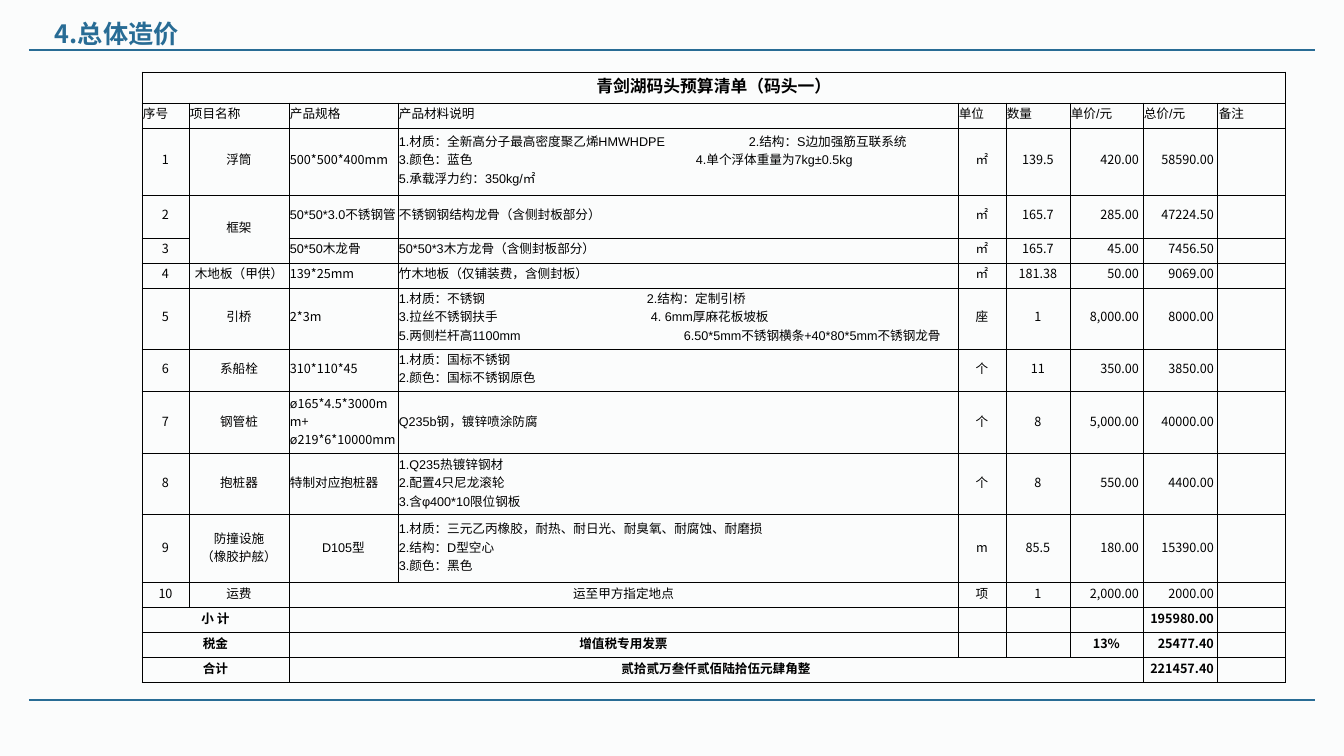
from dataclasses import dataclass

from lxml import etree
from pptx import Presentation
from pptx.dml.color import RGBColor
from pptx.enum.shapes import MSO_CONNECTOR
from pptx.enum.text import MSO_ANCHOR, PP_ALIGN
from pptx.oxml.ns import qn
from pptx.util import Pt

STRAIGHT = MSO_CONNECTOR.STRAIGHT
MIDDLE = MSO_ANCHOR.MIDDLE
LEFT, CENTER, RIGHT = PP_ALIGN.LEFT, PP_ALIGN.CENTER, PP_ALIGN.RIGHT
PX = 914400 / 100.8


@dataclass(frozen=True)
class Theme:
    background: str = "FBFCFC"
    accent: str = "286C95"
    ink: str = "000000"
    text_font: str = "Arial"
    number_font: str = "Noto Sans CJK SC"
    title_size: int = 18
    caption_size: int = 12
    body_size: int = 9
    rule_width: float = 1.75
    border_width: float = 0.5


def px(length):
    return round(length * PX)


def has_chinese(text):
    return any(ord(char) >= 0x2E80 for char in text)


class Page:
    def __init__(self, presentation, theme):
        self.theme = theme
        self.slide = presentation.slides.add_slide(presentation.slide_layouts[6])
        fill = self.slide.background.fill
        fill.solid()
        fill.fore_color.rgb = RGBColor.from_string(theme.background)

    def style(self, paragraph, size, color, face, bold):
        font = paragraph.font
        font.size, font.bold, font.name = Pt(size), bold, face
        font.color.rgb = RGBColor.from_string(color)
        east_asian = etree.SubElement(font._rPr, qn("a:ea"))
        east_asian.set("typeface", self.theme.number_font)

    def rule(self, left, right, y):
        line = self.slide.shapes.add_connector(STRAIGHT, px(left), px(y), px(right), px(y))
        line.line.color.rgb = RGBColor.from_string(self.theme.accent)
        line.line.width = Pt(self.theme.rule_width)
        etree.SubElement(line._element.spPr, qn("a:effectLst"))

    def title(self, text, left, top, width, height):
        box = self.slide.shapes.add_textbox(px(left), px(top), px(width), px(height))
        frame = box.text_frame
        frame.word_wrap = True
        frame.vertical_anchor = MIDDLE
        paragraph = frame.paragraphs[0]
        paragraph.text = text
        paragraph.line_spacing = 0.9
        self.style(paragraph, self.theme.title_size, self.theme.accent, self.theme.number_font, True)

    def border(self, cell):
        properties = cell._tc.get_or_add_tcPr()
        for side in ("a:lnL", "a:lnR", "a:lnT", "a:lnB"):
            line = etree.SubElement(properties, qn(side), w=str(Pt(self.theme.border_width)))
            fill = etree.SubElement(line, qn("a:solidFill"))
            etree.SubElement(fill, qn("a:srgbClr"), val=self.theme.ink)
        cell.fill.background()

    def cell(self, cell, content, align, size, bold):
        cell.margin_left = cell.margin_top = px(1)
        cell.margin_right = px(4 if align == RIGHT else 1)
        cell.margin_bottom = px(5)
        cell.vertical_anchor = MIDDLE
        self.border(cell)
        lines = content if isinstance(content, list) else [content]
        for index, line in enumerate(lines):
            frame = cell.text_frame
            paragraph = frame.add_paragraph() if index else frame.paragraphs[0]
            paragraph.alignment = align
            if isinstance(line, tuple):
                first, second, stop = line
                line = f"{first}\t{second}"
                tabs = etree.SubElement(paragraph._p.get_or_add_pPr(), qn("a:tabLst"))
                etree.SubElement(tabs, qn("a:tab"), pos=str(px(stop)), algn="l")
            if line:
                paragraph.text = line
            else:
                paragraph._p.get_or_add_endParaRPr().set("sz", str(size * 100))
            face = self.theme.text_font if has_chinese(line) else self.theme.number_font
            self.style(paragraph, size, self.theme.ink, face, bold)

    def table(self, left, top, widths, heights, rows, spans, alignment, bold_rows):
        frame = self.slide.shapes.add_table(
            len(heights), len(widths), px(left), px(top), px(sum(widths)), px(sum(heights)))
        table = frame.table
        table.first_row = table.horz_banding = False
        for column, width in zip(table.columns, widths):
            column.width = px(width)
        for row, height in zip(table.rows, heights):
            row.height = px(height)
        for r, row in enumerate(rows):
            size = self.theme.body_size if r else self.theme.caption_size
            for c in range(len(widths)):
                content = row[c] if c < len(row) else ""
                self.cell(table.cell(r, c), content, alignment(r, c), size, r in bold_rows)
        for first_row, first_column, last_row, last_column in spans:
            table.cell(first_row, first_column).merge(table.cell(last_row, last_column))


COLUMN_WIDTHS = [47, 100, 109, 560, 48, 64, 73, 75, 68]
ROW_HEIGHTS = [31, 25, 67, 43, 25, 25, 61, 43, 62, 61, 68, 25, 25, 25, 25]
COLUMN_ALIGNMENT = [CENTER, CENTER, LEFT, LEFT, CENTER, CENTER, RIGHT, RIGHT, LEFT]
CENTERED_CELLS = {(10, 2), (11, 2), (13, 2), (13, 6), (14, 2)}
SPANS = [(0, 0, 0, 8), (3, 1, 4, 1), (11, 2, 11, 3), (12, 0, 12, 1), (12, 2, 12, 3),
         (13, 0, 13, 1), (13, 2, 13, 3), (14, 0, 14, 1), (14, 2, 14, 6)]
BUDGET = [
    ["青剑湖码头预算清单（码头一）"],
    ["序号", "项目名称", "产品规格", "产品材料说明", "单位", "数量", "单价/元", "总价/元", "备注"],
    ["1", "浮筒", "500*500*400mm",
     [("1.材质：全新高分子最高密度聚乙烯HMWHDPE", "2.结构：S边加强筋互联系统", 350),
      ("3.颜色：蓝色", "4.单个浮体重量为7kg±0.5kg", 297),
      "5.承载浮力约：350kg/㎡"],
     "㎡", "139.5", "420.00", "58590.00"],
    ["2", "框架", "50*50*3.0不锈钢管", "不锈钢钢结构龙骨（含侧封板部分）",
     "㎡", "165.7", "285.00", "47224.50"],
    ["3", "", "50*50木龙骨", "50*50*3木方龙骨（含侧封板部分）",
     "㎡", "165.7", "45.00", "7456.50"],
    ["4", "木地板（甲供）", "139*25mm", "竹木地板（仅铺装费，含侧封板）",
     "㎡", "181.38", "50.00", "9069.00"],
    ["5", "引桥", "2*3m",
     [("1.材质：不锈钢", "2.结构：定制引桥", 248),
      ("3.拉丝不锈钢扶手", "4. 6mm厚麻花板坡板", 252),
      ("5.两侧栏杆高1100mm", "6.50*5mm不锈钢横条+40*80*5mm不锈钢龙骨", 285)],
     "座", "1", "8,000.00", "8000.00"],
    ["6", "系船栓", "310*110*45", ["1.材质：国标不锈钢", "2.颜色：国标不锈钢原色"],
     "个", "11", "350.00", "3850.00"],
    ["7", "钢管桩", ["ø165*4.5*3000mm+", "ø219*6*10000mm"], "Q235b钢，镀锌喷涂防腐",
     "个", "8", "5,000.00", "40000.00"],
    ["8", "抱桩器", "特制对应抱桩器",
     ["1.Q235热镀锌钢材", "2.配置4只尼龙滚轮", "3.含φ400*10限位钢板"],
     "个", "8", "550.00", "4400.00"],
    ["9", ["防撞设施", "（橡胶护舷）"], "D105型",
     ["1.材质：三元乙丙橡胶，耐热、耐日光、耐臭氧、耐腐蚀、耐磨损",
      "2.结构：D型空心", "3.颜色：黑色"],
     "m", "85.5", "180.00", "15390.00"],
    ["10", "运费", "运至甲方指定地点", "", "项", "1", "2,000.00", "2000.00"],
    ["小 计", "", "", "", "", "", "", "195980.00"],
    ["税金", "", "增值税专用发票", "", "", "", "13%", "25477.40"],
    ["合计", "", "贰拾贰万叁仟贰佰陆拾伍元肆角整", "", "", "", "", "221457.40"],
]


def budget_alignment(row, column):
    if row == 0 or (row, column) in CENTERED_CELLS:
        return CENTER
    return LEFT if row == 1 else COLUMN_ALIGNMENT[column]


def main():
    presentation = Presentation()
    presentation.slide_width, presentation.slide_height = px(1344), px(756)
    page = Page(presentation, Theme())
    for y in (50, 700):
        page.rule(29, 1315, y)
    page.title("4.总体造价", 45, 20, 270, 30)
    page.table(142, 72, COLUMN_WIDTHS, ROW_HEIGHTS, BUDGET, SPANS,
               budget_alignment, {0, 12, 13, 14})
    presentation.save("out.pptx")


if __name__ == "__main__":
    main()
